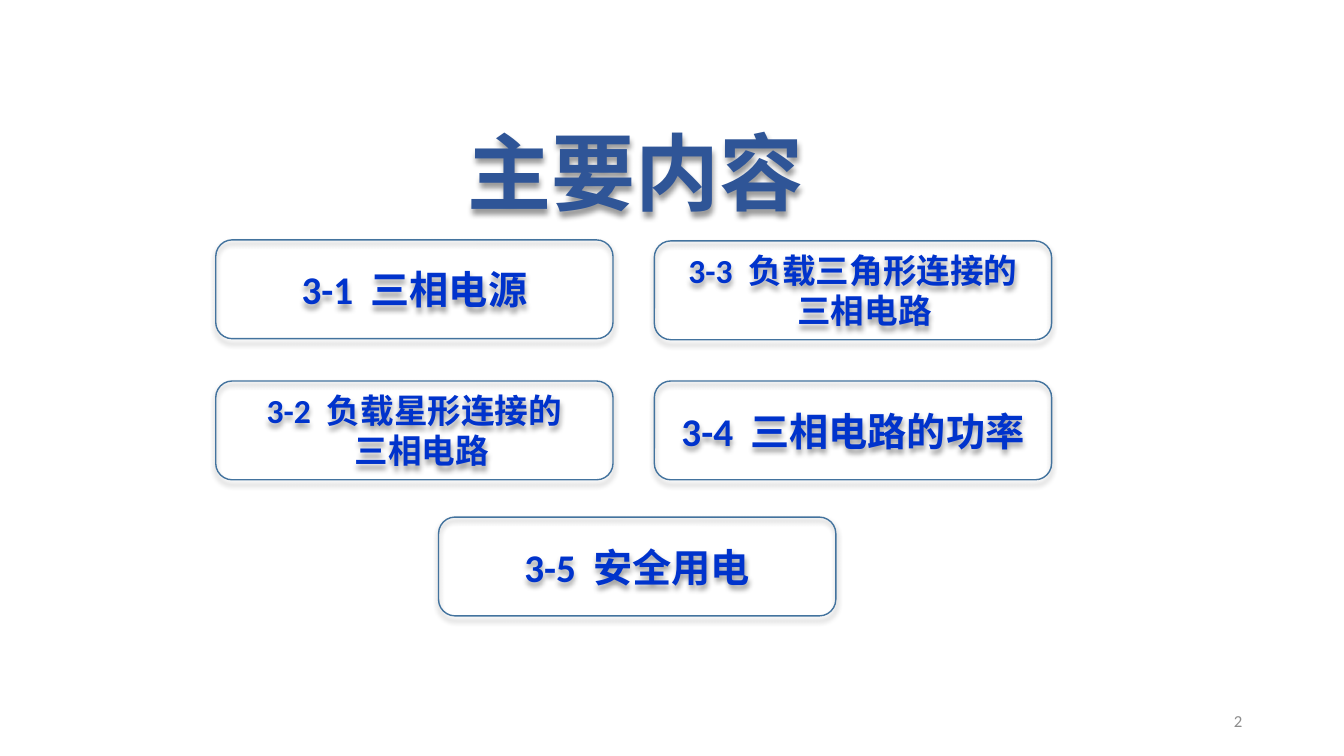
from lxml import etree
from pptx import Presentation
from pptx import util as u
from pptx.dml.color import RGBColor
from pptx.enum import shapes, text
from pptx.oxml.ns import qn

LATIN, SERIF, CJK = "Calibri", "Times New Roman", "Noto Sans CJK SC"
BLUE = "0033CC"
CARD_WIDTH, CARD_HEIGHT = 3.94, 0.98

# left, top, text size, number, name spans, second line, indent of second line
CARDS = [
    (2.14, 2.38, 28, "3-1", [("三相电源", LATIN)], "", 0),
    (2.14, 3.78, 24, "3-2", [("负载星形连接的", LATIN)], "三相电路", 0.15),
    (6.49, 2.39, 24, "3-3", [("负载三角形连接的", LATIN)], "三相电路", 0.23),
    (6.49, 3.78, 28, "3-4", [("三相", SERIF), ("电路的功率", LATIN)], "", 0),
    (4.35, 5.13, 28, "3-5", [("安全用电", LATIN)], "", 0),
]


def color(value):
    return RGBColor.from_string(value)


def set_all(target, values):
    for name, value in values.items():
        setattr(target, name, value)


def place(shape, left, top, width, height):
    set_all(shape, {"left": u.Inches(left), "top": u.Inches(top),
                    "width": u.Inches(width), "height": u.Inches(height)})


def add_span(para, words, size, fill, font=LATIN, bold=True):
    span = para.add_run()
    span.text = words
    set_all(span.font, {"name": font, "size": u.Pt(size), "bold": bold})
    span.font.color.rgb = color(fill)
    east_asian = etree.Element(qn("a:ea"), typeface=CJK)
    span.font._element.find(qn("a:latin")).addnext(east_asian)
    return span


def add_shadow(shape):
    """Give the shape a soft black shadow straight below it."""
    shape.shadow.inherit = False
    effects = shape._element.spPr.find(qn("a:effectLst"))
    shadow = etree.SubElement(effects, qn("a:outerShdw"), blurRad=str(u.Pt(4)),
                              dist=str(u.Pt(3)), dir="5400000", rotWithShape="0")
    black = etree.SubElement(shadow, qn("a:srgbClr"), val="000000")
    etree.SubElement(black, qn("a:alpha"), val="40000")


def add_title(page, left, top, width, height):
    title = page.shapes.title
    place(title, left, top, width, height)
    set_all(title.text_frame, {"word_wrap": True, "auto_size": text.MSO_AUTO_SIZE.NONE,
                               "vertical_anchor": text.MSO_ANCHOR.TOP})
    para = title.text_frame.paragraphs[0]
    para.alignment = text.PP_ALIGN.LEFT
    add_span(para, "主要内容", 60, "2F5597", CJK)
    add_shadow(title)


def add_card(page, left, top, size, number, names, second_line, indent):
    box = page.shapes.add_shape(
        shapes.MSO_SHAPE.ROUNDED_RECTANGLE, u.Inches(left), u.Inches(top),
        u.Inches(CARD_WIDTH), u.Inches(CARD_HEIGHT))
    box.fill.background()
    box.line.color.rgb = color("43739E")
    box.line.width = u.Pt(1)
    add_shadow(box)
    frame = box.text_frame
    set_all(frame, {"word_wrap": True, "vertical_anchor": text.MSO_ANCHOR.MIDDLE})
    para = frame.paragraphs[0]
    para.alignment = text.PP_ALIGN.CENTER
    add_span(para, number, size, BLUE)
    gap = add_span(para, " ", size, BLUE)
    gap.font._element.set("spc", "600")
    for words, font in names:
        add_span(para, words, size, BLUE, font)
    if second_line:
        para = frame.add_paragraph()
        para.alignment = text.PP_ALIGN.CENTER
        para._p.get_or_add_pPr().set("marL", str(u.Inches(indent)))
        add_span(para, second_line, size, BLUE)


def add_page_number(page, left, top, width, height):
    box = page.shapes.add_textbox(u.Inches(left), u.Inches(top),
                                  u.Inches(width), u.Inches(height))
    set_all(box.text_frame, {"word_wrap": True, "vertical_anchor": text.MSO_ANCHOR.MIDDLE})
    para = box.text_frame.paragraphs[0]
    para.alignment = text.PP_ALIGN.RIGHT
    add_span(para, "2", 12, "8C8C8C", bold=False)


def main():
    deck = Presentation()
    set_all(deck, {"slide_width": u.Inches(13.33), "slide_height": u.Inches(7.5)})
    page = deck.slides.add_slide(deck.slide_layouts.get_by_name("Title Only"))
    add_title(page, 4.54, 1.15, 3.57, 1.11)
    for card in CARDS:
        add_card(page, *card)
    add_page_number(page, 9.42, 6.95, 3, 0.4)
    deck.save("out.pptx")


if __name__ == "__main__":
    main()
